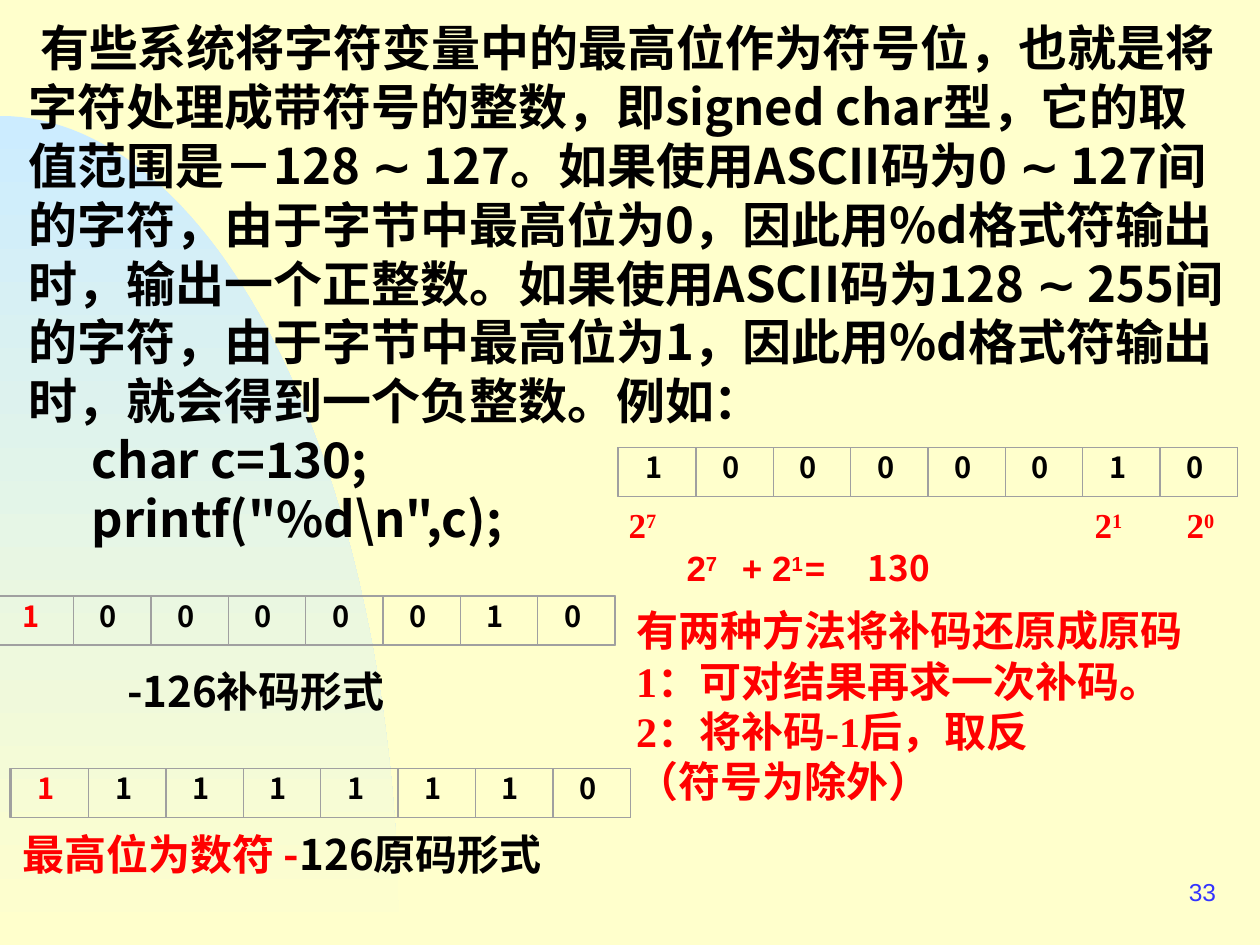
from dataclasses import dataclass
from math import cos, pi, sin

from lxml.etree import SubElement
from pptx import Presentation
from pptx.dml.color import RGBColor
from pptx.enum.shapes import MSO_SHAPE
from pptx.enum.text import MSO_ANCHOR, PP_ALIGN
from pptx.oxml.ns import qn
from pptx.util import Inches, Pt


@dataclass(frozen=True)
class Theme:
    paper: str = "FFFFCC"
    sky: str = "CCECFF"
    ink: str = "010000"
    red: str = "FF0000"
    blue: str = "3333FF"
    grid: str = "A0A0A0"
    sans: str = "Noto Sans CJK SC"
    arial: str = "Arial"
    serif: str = "Times New Roman"
    body: float = 28
    label: float = 24
    power: float = 20
    digit: float = 16.6
    page: float = 14


T = Theme()
COLS, ROWS = 100, 75  # slide grid
UNIT = Inches(10) / COLS
BITS = 8
PITCH, TALL = 6.14, 3.9  # one bit cell, in grid units


def grid(*spans):
    return [round(n * UNIT) for n in spans]


def rgb(code):
    return RGBColor.from_string(code)


def style(run, size, font, color, bold=True, up=False):
    run.font.size, run.font.bold = Pt(size), bold
    run.font.name = font
    run.font.color.rgb = rgb(color)
    props = run.font._element
    SubElement(props, qn("a:ea")).set("typeface", T.sans)
    if up:
        props.set("baseline", "30000")


def write(shape, paras, size=T.label, font=T.sans, color=T.ink, bold=True,
          align=PP_ALIGN.LEFT, anchor=MSO_ANCHOR.TOP, wrap=True,
          lead=1.0, inset=1, indent=0, tabs=()):
    """Each paragraph is a list of runs: a string, or (string, overrides)."""
    frame = shape.text_frame
    frame.word_wrap, frame.vertical_anchor = wrap, anchor
    frame.margin_left, frame.margin_right = grid(inset, 1)
    frame.margin_top = frame.margin_bottom = grid(0.5)[0]
    for i, runs in enumerate(paras):
        para = frame.add_paragraph() if i else frame.paragraphs[0]
        para.alignment, para.line_spacing = align, lead
        para.space_before = para.space_after = Pt(0)
        props = para._p.get_or_add_pPr()
        props.set("marL", "0")
        props.set("indent", str(grid(indent)[0]))
        SubElement(props, qn("a:buNone"))
        if tabs:
            stops = SubElement(props, qn("a:tabLst"))
            for pos in grid(*tabs):
                SubElement(stops, qn("a:tab"), pos=str(pos), algn="l")
        for item in runs:
            words, extra = (item, {}) if isinstance(item, str) else item
            run = para.add_run()
            run.text = words
            look = dict(size=size, font=font, color=color, bold=bold)
            style(run, **{**look, **extra})


def label(slide, spot, paras, **form):
    write(slide.shapes.add_textbox(*grid(*spot)), paras, **form)


def box(slide, spot, width):
    shape = slide.shapes.add_shape(MSO_SHAPE.RECTANGLE, *grid(*spot))
    shape.shadow.inherit = False
    shape.fill.background()
    shape.line.color.rgb = rgb(T.grid)
    shape.line.width = Pt(width)
    return shape


def byte(slide, left, top, bits, sign=T.ink):
    """A row of bit cells inside a frame; sign colours the highest bit."""
    for i, bit in enumerate(bits):
        cell = box(slide, (left + i * PITCH, top, PITCH, TALL), 0)
        write(cell, [[bit]], size=T.digit, color=T.ink if i else sign,
              lead=0.9, inset=2.1)
    box(slide, (left - 0.1, top, BITS * PITCH + 0.1, TALL), 0.75)


def curve(slide, wide=31.7, tall=65.8, steps=60):
    """Quarter ellipse in the lower left corner, behind everything."""
    arc = [grid(wide * sin(a), ROWS - tall * cos(a))
           for a in (pi / 2 * i / steps for i in range(steps + 1))]
    build = slide.shapes.build_freeform(*arc[0])
    build.add_line_segments(arc[1:] + [grid(0, ROWS)], close=True)
    shape = build.convert_to_shape()
    shape.shadow.inherit = False
    shape.line.fill.background()
    shape.fill.gradient()
    shape.fill.gradient_angle = 270
    for stop, color, pos in zip(shape.fill.gradient_stops, (T.sky, T.paper), (0, 1)):
        stop.color.rgb, stop.position = rgb(color), pos
    shape._element.getparent().insert(2, shape._element)


def power(slide, left, top, exp):
    label(slide, (left, top, 6.4, 4.4), [["2", (exp, dict(up=True))]],
          size=T.power, font=T.serif, color=T.red)


def story(slide):
    tilde = ("∼", dict(font=T.arial))
    body = slide.placeholders[1]
    body.left, body.top, body.width, body.height = grid(1.3, 0.9, 97.4, 43.1)
    write(body, [
        [" 有些系统将字符变量中的最高位作为符号位，也就是将字符处理成带符号的整数，"
         "即signed char型，它的取值范围是－128 ", tilde,
         " 127。如果使用ASCII码为0 ", tilde,
         " 127间的字符，由于字节中最高位为0，因此用%d格式符输出时，输出一个正整数。"
         "如果使用ASCII码为128 ", tilde,
         " 255间的字符，由于字节中最高位为1，因此用%d格式符输出时，"
         "就会得到一个负整数。例如："],
        ["\tchar c=130;"],
        ['\tprintf("%d\\n",c);'],
    ], size=T.body, tabs=(10,))


def main():
    deck = Presentation()
    deck.slide_width, deck.slide_height = grid(COLS, ROWS)
    slide = deck.slides.add_slide(deck.slide_layouts[1])
    title = slide.shapes.title._element
    title.getparent().remove(title)
    slide.background.fill.solid()
    slide.background.fill.fore_color.rgb = rgb(T.paper)
    curve(slide)
    story(slide)

    # Two's complement and sign-magnitude forms of -126
    byte(slide, -0.3, 47.3, "10000010", sign=T.red)
    label(slide, (9.1, 52.3, 30.5, 5), [["-126补码形式"]])
    byte(slide, 0.9, 61, "11111110", sign=T.red)
    label(slide, (0.8, 65.3, 49.5, 5),
          [[("最高位为数符 -", dict(color=T.red)), "126原码形式"]])

    # Unsigned 130 with its place values
    byte(slide, 49.1, 35.5, "10000010")
    for left, exp in ((48.9, "7"), (85.9, "1"), (93.2, "0")):
        power(slide, left, 39.5, exp)
    up = dict(up=True)
    label(slide, (52.9, 42.9, 43.5, 4.4),
          [["2", ("7", up), "\t+ 2", ("1", up), "\t=\t", ("130", dict(font=T.sans))]],
          size=T.power, font=T.arial, color=T.red, indent=0.6, tabs=(4.4, 12.6, 15.8))

    # Ways back to the sign-magnitude form
    label(slide, (49.5, 47.5, 45.3, 17),
          [["有两种方法将补码还原成原码"], ["1：可对结果再求一次补码。"],
           ["2：将补码-1后，取反"], ["（符号为除外）"]],
          font=T.serif, color=T.red, wrap=False)

    # Page number
    label(slide, (76.7, 68.3, 20.8, 5), [["33"]], size=T.page, font=T.arial,
          color=T.blue, bold=False, align=PP_ALIGN.RIGHT, anchor=MSO_ANCHOR.MIDDLE)
    deck.save("out.pptx")


if __name__ == "__main__":
    main()
